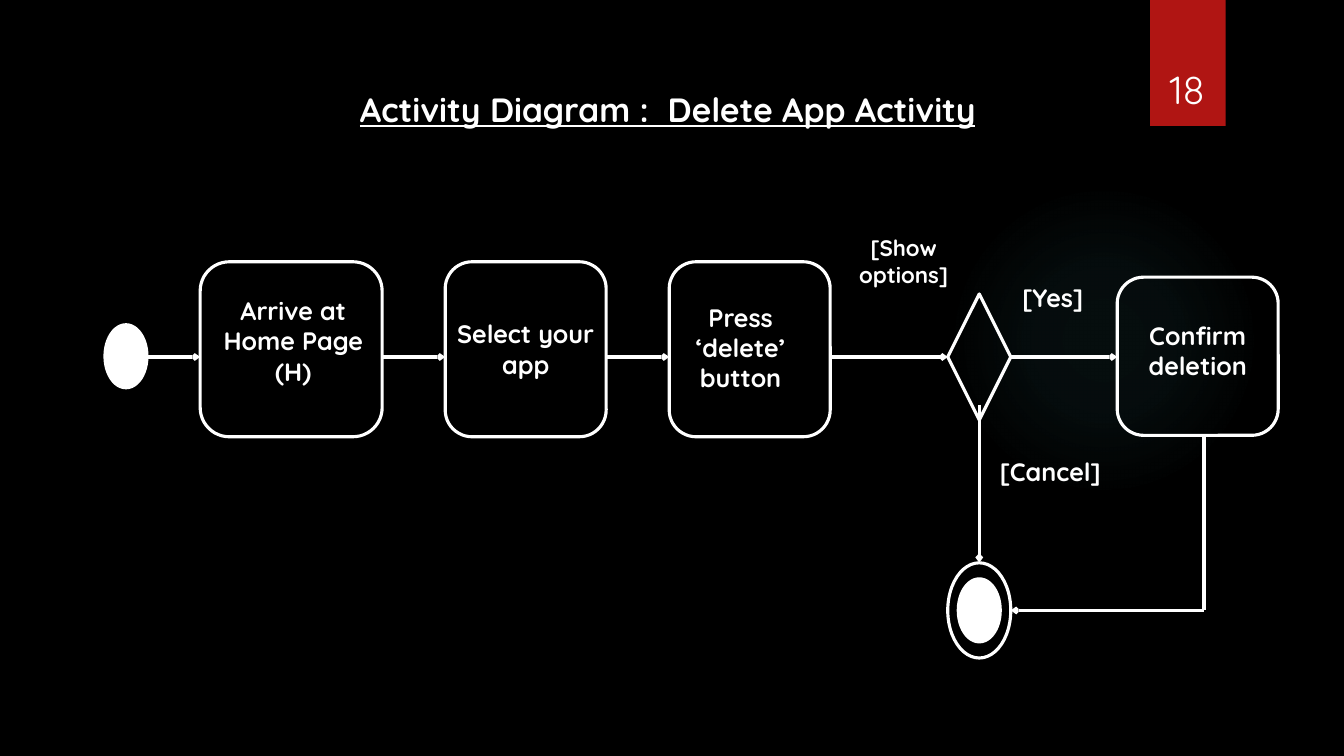
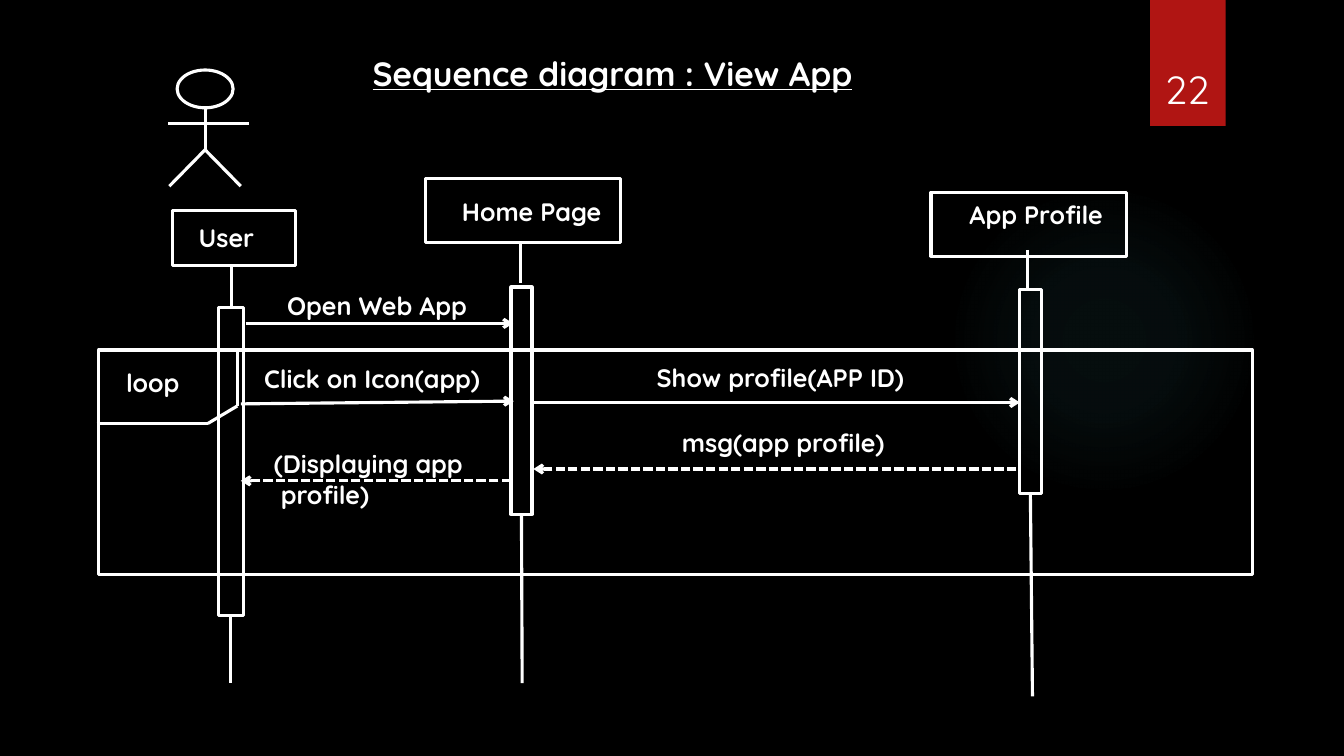
from itertools import pairwise

from pptx import Presentation
from pptx.dml.color import RGBColor
from pptx.enum import dml, shapes, text
from pptx.oxml import parse_xml
from pptx.oxml.ns import nsdecls, qn
from pptx.util import Pt

FONT = "Quicksand"
WHITE, BLACK, RED, GLOW = "FFFFFF", "000000", "B01513", "50B9C1"
KIND = shapes.MSO_SHAPE
LEFT, CENTER = text.PP_ALIGN.LEFT, text.PP_ALIGN.CENTER
STROKE = 2.25


def color(value):
    return RGBColor.from_string(value)


def write(s, lines, size=18, align=CENTER, bold=True, underline=False,
          insets=(7.2, 3.6, 7.2, 3.6), anchor=text.MSO_ANCHOR.TOP, wrap=True):
    tf = s.text_frame
    tf.word_wrap = wrap
    tf.vertical_anchor = anchor
    tf.margin_left, tf.margin_top, tf.margin_right, tf.margin_bottom = map(Pt, insets)
    for i, line in enumerate(lines.split("\n")):
        p = tf.add_paragraph() if i else tf.paragraphs[0]
        p.alignment = align
        r = p.add_run()
        r.text = line
        r.font.name = FONT
        r.font.size = Pt(size)
        r.font.bold = bold
        r.font.underline = underline
        r.font.color.rgb = color(WHITE)


def label(slide, lines, x, y, w, h=29, **style):
    s = slide.shapes.add_textbox(Pt(x), Pt(y), Pt(w), Pt(h))
    write(s, lines, **style)


def shape(slide, kind, x, y, w, h, fill=None, outline=WHITE):
    s = slide.shapes.add_shape(kind, Pt(x), Pt(y), Pt(w), Pt(h))
    s.shadow.inherit = False
    if fill:
        s.fill.solid()
        s.fill.fore_color.rgb = color(fill)
    else:
        s.fill.background()
    if outline:
        s.line.color.rgb = color(outline)
        s.line.width = Pt(STROKE)
    else:
        s.line.fill.background()
    return s


def link(slide, *points, head=None, dashed=False):
    segments = list(pairwise(points))
    for i, (start, end) in enumerate(segments):
        s = slide.shapes.add_connector(
            shapes.MSO_CONNECTOR.STRAIGHT, *map(Pt, start + end))
        s.line.color.rgb = color(WHITE)
        s.line.width = Pt(STROKE)
        if dashed:
            s.line.dash_style = dml.MSO_LINE.SQUARE_DOT
        if head and i == len(segments) - 1:
            s.line._ln.append(parse_xml(
                f'<a:tailEnd {nsdecls("a")} type="arrow" w="{head}" len="{head}"/>'))
        s._element.spPr.append(parse_xml(f'<a:effectLst {nsdecls("a")}/>'))


def glow(slide):
    s = shape(slide, KIND.OVAL, 677.5, 132, 222, 222, outline=None)
    stops = "".join(
        f'<a:gs pos="{pos}000"><a:srgbClr val="{GLOW}">'
        f'<a:alpha val="{alpha}000"/></a:srgbClr></a:gs>'
        for pos, alpha in ((0, 7), (36, 6), (69, 0)))
    gradient = parse_xml(
        f'<a:gradFill {nsdecls("a")}><a:gsLst>{stops}</a:gsLst><a:path path="circle">'
        '<a:fillToRect l="50000" t="50000" r="50000" b="50000"/></a:path></a:gradFill>')
    sp = s._element.spPr
    sp.replace(sp.find(qn("a:noFill")), gradient)


def new_slide(prs, title, x, y, w, number):
    slide = prs.slides.add_slide(prs.slide_layouts[6])
    glow(slide)
    shape(slide, KIND.RECTANGLE, 821.5, 0, 54, 90, RED, None)
    label(slide, title, x, y, w, 36, size=24, align=LEFT, underline=True)
    label(slide, number, 815, 23, 66, 60.5, size=28, bold=False,
          anchor=text.MSO_ANCHOR.BOTTOM)
    return slide


def activity_slide(prs):
    slide = new_slide(prs, "Activity Diagram :  Delete App Activity", 250, 60, 572, "18")
    axis = 255
    steps = [
        ("Arrive at Home Page (H)", 143, 187, 130, 125, (3, 18, 0, 0)),
        ("Select your app", 318, 187, 115, 125, (0, 35, 0, 0)),
        ("Press ‘delete’ button", 478, 187, 115, 125, (0, 23, 13, 0)),
        ("Confirm deletion", 798, 198, 115, 113, (0, 25, 0, 0)),
    ]
    for name, x, y, w, h, insets in steps:
        write(shape(slide, KIND.ROUNDED_RECTANGLE, x, y, w, h), name, insets=insets)

    shape(slide, KIND.OVAL, 75, 232, 30, 45, WHITE)
    shape(slide, KIND.DIAMOND, 677, 210, 45, 90)
    shape(slide, KIND.OVAL, 684.5, 413.5, 30, 45, WHITE)
    shape(slide, KIND.OVAL, 677, 402, 45, 68)

    spans = [(75, 30)] + [(x, w) for _, x, _, w, _, _ in steps]
    spans.insert(-1, (677, 45))
    for (x, w), (target, _) in pairwise(spans):
        link(slide, (x + w, axis), (target, axis), head="sm")
    link(slide, (699.5, 289), (699.5, 402), head="sm")
    link(slide, (860, 311), (860, 436), (722, 436), head="sm")

    label(slide, "[Show options]", 592.5, 164, 106, 48, size=16)
    label(slide, "[Yes]", 720, 198, 64, wrap=False)
    label(slide, "[Cancel]", 702, 322.5, 96.5, wrap=False)


def actor(slide):
    shape(slide, KIND.OVAL, 126.5, 50, 40, 27)
    link(slide, (146.5, 77), (146.5, 107))
    link(slide, (178, 88.5), (120, 88.5))
    link(slide, (121, 133), (146.5, 107), (172, 133))


def lifeline(slide, name, box, insets, bar, stem, tail):
    write(shape(slide, KIND.RECTANGLE, *box), name, align=LEFT, insets=insets)
    shape(slide, KIND.RECTANGLE, *bar)
    link(slide, *stem)
    link(slide, *tail)


def sequence_slide(prs):
    slide = new_slide(prs, "Sequence diagram : View App", 259, 34, 505, "22")
    actor(slide)
    lifeline(slide, "User", (123, 150.5, 88, 39.5), (19, 8, 0, 0), (156, 219.5, 18, 220),
             ((165.5, 190), (165.5, 221)), ((164.5, 439.5), (164.5, 488)))
    lifeline(slide, "Home Page", (304, 127.5, 139.5, 45.5), (26, 13, 0, 0),
             (365, 205, 15, 162.5),
             ((372, 173), (372, 202)), ((372.5, 367.5), (373, 488)))
    lifeline(slide, "App Profile", (665, 137.5, 139.5, 45.5), (27.5, 5, 0, 0),
             (728, 207, 16, 145.5),
             ((734, 178.5), (734, 207)), ((736, 352.5), (737.5, 497.5)))

    shape(slide, KIND.RECTANGLE, 70.5, 250, 824, 160.5)
    link(slide, (69, 302.5), (148.5, 302.5), (169.5, 290), (169.5, 251))
    label(slide, "loop", 83, 259, 80, align=LEFT)

    messages = [
        ("Open Web App", 198, 204, (175.5, 231), (366.5, 231), False),
        ("Click on Icon(app)", 181.5, 256, (172, 288.5), (367, 286.5), False),
        ("Show profile(APP ID)", 462, 255.5, (381, 287.5), (728.5, 287.5), False),
        ("msg(app profile)", 480, 301.5, (726, 335), (381, 335), True),
        ("(Displaying app\n profile)", 188.5, 317, (365, 343.5), (172, 343.5), True),
    ]
    for words, x, y, start, end, reply in messages:
        link(slide, start, end, head="med", dashed=reply)
        label(slide, words, x, y, 215, align=LEFT)


def main():
    prs = Presentation()
    prs.slide_width, prs.slide_height = Pt(960), Pt(540)
    backdrop = prs.slide_master.background.fill
    backdrop.solid()
    backdrop.fore_color.rgb = color(BLACK)
    activity_slide(prs)
    sequence_slide(prs)
    prs.save("out.pptx")


if __name__ == "__main__":
    main()
